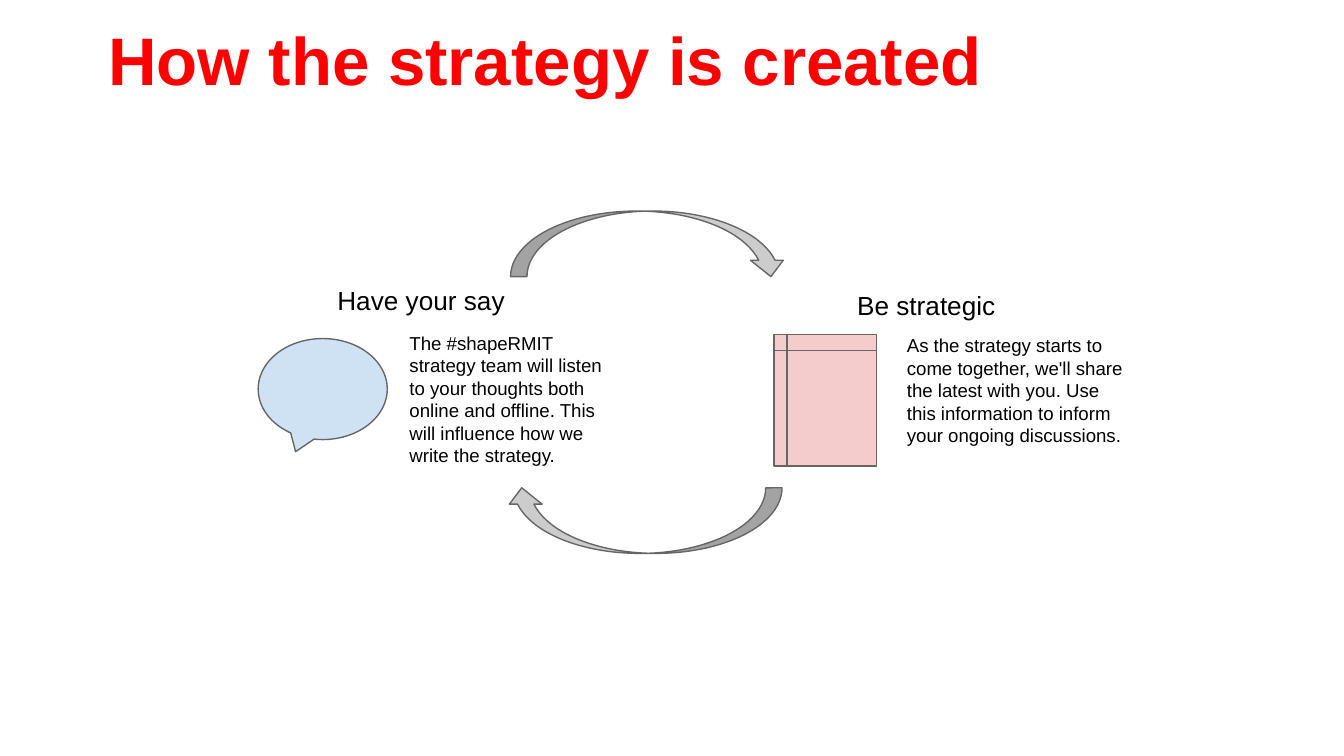
from pptx import Presentation
from pptx import util as u
from pptx.dml.color import RGBColor
from pptx.enum import shapes, text

COLORS = {
    "title": "FF0000", "body": "000000", "outline": "666666",
    "speech": "CFE2F3", "document": "F4CCCC", "arrow": "CCCCCC",
}
SHAPE = shapes.MSO_SHAPE
LEFT, CENTER = text.PP_ALIGN.LEFT, text.PP_ALIGN.CENTER
INSET = 0.25

TITLE = ("How the strategy is created", (1.8, 0.58, 21.56, 1.55))
STAGES = [
    {
        "heading": ("Have your say", (4.52, 5.13, 6.88, 1.09), CENTER),
        "detail": ("The #shapeRMIT strategy team will listen to your thoughts both "
                   "online and offline. This will influence how we write the strategy.",
                   (7.49, 6.02, 4.14, 2.69)),
        "icon": (SHAPE.OVAL_CALLOUT, (4.88, 6.4, 2.44, 1.91), "speech", (-0.21, 0.62)),
    },
    {
        "heading": ("Be strategic", (15.95, 5.23, 3.68, 1.09), LEFT),
        "detail": ("As the strategy starts to come together, we'll share the latest "
                   "with you. Use this information to inform your ongoing discussions.",
                   (16.89, 6.07, 4.57, 2.69)),
        "icon": (SHAPE.FLOWCHART_INTERNAL_STORAGE, (14.63, 6.32, 1.93, 2.49), "document", ()),
    },
]
ARROW_SIZE = (5.23, 1.24)
ARROWS = [((9.65, 3.99), 0), ((9.55, 9.22), 180)]


def color(name):
    return RGBColor.from_string(COLORS[name])


def place(area):
    return [u.Cm(length) for length in area]


def add_text(page, words, area, size, ink="body", align=LEFT, bold=False,
             anchor=text.MSO_ANCHOR.TOP):
    frame = page.shapes.add_textbox(*place(area)).text_frame
    frame.word_wrap = True
    frame.vertical_anchor = anchor
    frame.margin_left = frame.margin_right = u.Cm(INSET)
    frame.margin_top = frame.margin_bottom = u.Cm(INSET)
    frame.text = words
    para = frame.paragraphs[0]
    para.alignment = align
    span = para.runs[0]
    span.font.name = "Arial"
    span.font.size = u.Pt(size)
    span.font.bold = bold
    span.font.color.rgb = color(ink)


def add_figure(page, kind, area, fill, adjustments=(), rotation=0):
    figure = page.shapes.add_shape(kind, *place(area))
    figure.shadow.inherit = False
    figure.fill.solid()
    figure.fill.fore_color.rgb = color(fill)
    figure.line.color.rgb = color("outline")
    figure.line.width = u.Pt(0.75)
    figure.rotation = rotation
    for index, value in enumerate(adjustments):
        figure.adjustments[index] = value


def main():
    deck = Presentation()
    deck.slide_width, deck.slide_height = u.Cm(25.4), u.Cm(14.29)
    page = deck.slides.add_slide(deck.slide_layouts[6])

    add_text(page, *TITLE, 36, "title", bold=True, anchor=text.MSO_ANCHOR.BOTTOM)
    for stage in STAGES:
        words, area, align = stage["heading"]
        add_text(page, *stage["detail"], 10)
        add_text(page, words, area, 14, align=align)
        add_figure(page, *stage["icon"])
    for corner, rotation in ARROWS:
        add_figure(page, SHAPE.CURVED_DOWN_ARROW, corner + ARROW_SIZE, "arrow",
                   rotation=rotation)

    deck.save("out.pptx")


if __name__ == "__main__":
    main()
